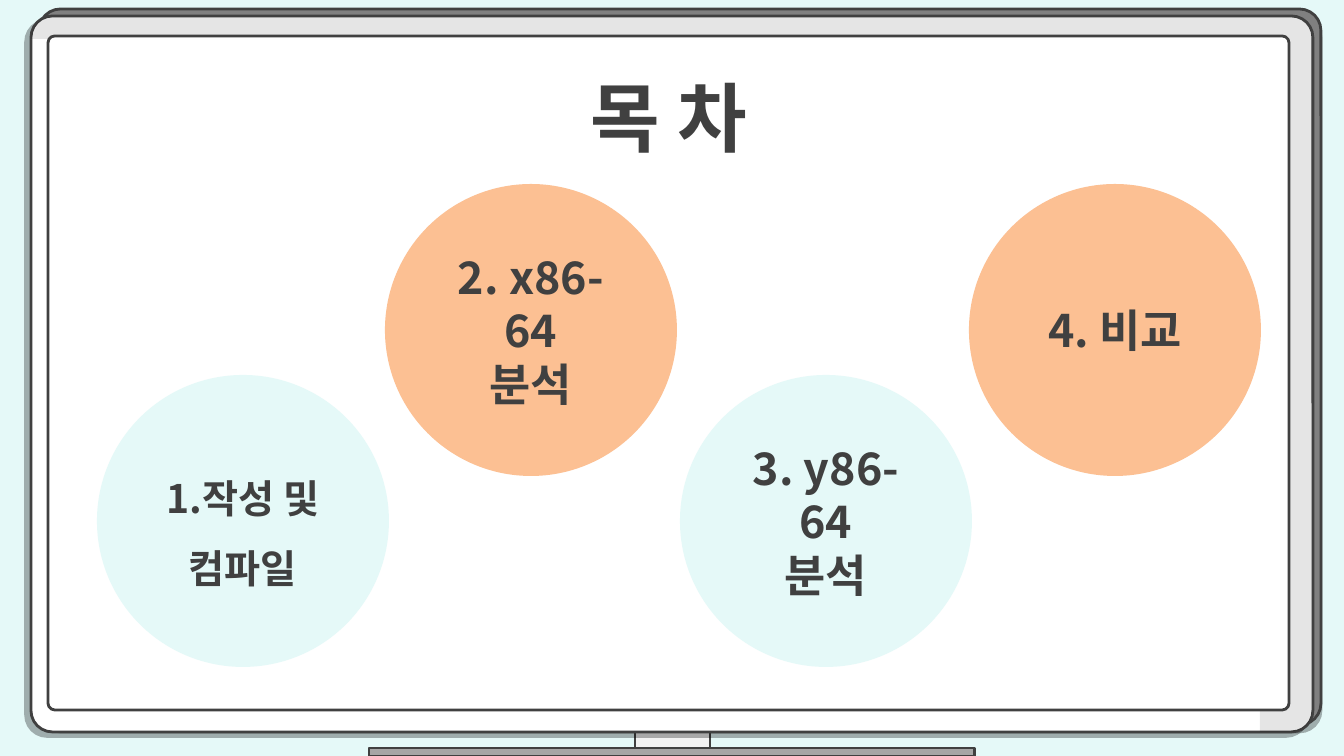
from math import cos, radians, sin

from lxml.etree import SubElement
from pptx import Presentation
from pptx.dml.color import RGBColor
from pptx.enum.shapes import MSO_SHAPE
from pptx.enum.text import MSO_ANCHOR, PP_ALIGN
from pptx.oxml.ns import qn
from pptx.util import Pt

FONT = "Noto Sans CJK KR"
COLORS = {
    "mint": "E5F9F8",
    "peach": "FCC093",
    "ink": "404040",
    "white": "FFFFFF",
    "back": "808080",
    "neck": "F2F2F2",
    "foot": "A6A6A6",
    "black": "000000",
}


def px(n):
    return round(n * 914400 / 100.8)


def rgb(name):
    return RGBColor.from_string(COLORS[name])


def paint(shape, fill, line=None):
    shape.shadow.inherit = False
    shape.fill.solid()
    shape.fill.fore_color.rgb = rgb(fill)
    if line:
        shape.line.color.rgb = rgb(line)
        shape.line.width = Pt(2)
    else:
        shape.line.fill.background()


def add_part(slide, kind, box, fill, line=None, round_by=None):
    part = slide.shapes.add_shape(kind, *map(px, box))
    paint(part, fill, line)
    if round_by is not None:
        part.adjustments[0] = round_by
    return part


def set_alpha(color, percent):
    SubElement(color, qn("a:alpha"), val=str(percent * 1000))


def add_shade(shape, angle):
    """Cast a hard 5 pt shadow in the direction of angle, in degrees."""
    effects = shape._element.spPr.find(qn("a:effectLst"))
    shade = SubElement(effects, qn("a:outerShdw"), blurRad="0", dist=str(Pt(5)),
                       dir=str(angle * 60000), algn="ctr", rotWithShape="0")
    set_alpha(SubElement(shade, qn("a:srgbClr"), val=COLORS["black"]), 30)


def arc(x, y, start, end, radius=21):
    """Points of a rounded corner centred on x, y."""
    turns = [radians(start + (end - start) * i / 12) for i in range(13)]
    return [(x + radius * cos(t), y + radius * sin(t)) for t in turns]


def add_glare(slide):
    """Tint the top and right edges of the monitor frame."""
    points = [
        *arc(1291, 38, -90, 0),
        *arc(1291, 711, 0, 90),
        (1260, 732),
        *arc(1239, 60, 0, -90),
        (31, 39),
        *arc(52, 38, 180, 270),
    ]
    points = [(px(x), px(y)) for x, y in points]
    pen = slide.shapes.build_freeform(*points[0])
    pen.add_line_segments(points[1:], close=True)
    glare = pen.convert_to_shape()
    paint(glare, "black")
    set_alpha(glare._element.spPr.find(qn("a:solidFill"))[0], 10)


def add_screen(slide):
    rect, soft = MSO_SHAPE.RECTANGLE, MSO_SHAPE.ROUNDED_RECTANGLE
    back = add_part(slide, soft, (39, 9, 1282, 716), "back", "ink", 0.03)
    add_shade(back, 90)
    add_part(slide, rect, (635, 487, 75, 269), "neck", "ink")
    add_part(slide, rect, (369, 748, 606, 8), "foot", "ink")
    front = add_part(slide, soft, (31, 16, 1282, 716), "white", "ink", 0.03)
    add_shade(front, 140)
    add_glare(slide)
    add_part(slide, soft, (48, 36, 1241, 674), "white", "ink", 0.01)


def set_text(shape, text, size, gap=None):
    frame = shape.text_frame
    frame.word_wrap = True
    frame.text = text
    for para in frame.paragraphs:
        para.alignment = PP_ALIGN.CENTER
        para.line_spacing = gap
        for run in para.runs:
            font = run.font
            font.size, font.bold, font.name = Pt(size), True, FONT
            font.color.rgb = rgb("ink")
            SubElement(font._element, qn("a:ea"), typeface=FONT)


def add_title(slide, text):
    box = slide.shapes.add_textbox(*map(px, (48, 66, 1241, 102)))
    set_text(box, text, 54)


def add_topic(slide, x, y, fill, text, size=32, gap=None):
    disc = add_part(slide, MSO_SHAPE.OVAL, (x, y, 292, 292), fill)
    disc.text_frame.vertical_anchor = MSO_ANCHOR.MIDDLE
    set_text(disc, text, size, gap)


def main():
    deck = Presentation()
    deck.slide_width, deck.slide_height = px(1344), px(756)
    slide = deck.slides.add_slide(deck.slide_layouts[6])
    slide.background.fill.solid()
    slide.background.fill.fore_color.rgb = rgb("mint")
    add_screen(slide)
    low, high = 375, 184
    add_topic(slide, 97, low, "mint", "1.작성 및 컴파일", 28, 1.5)
    add_topic(slide, 385, high, "peach", "2. x86-64\n분석")
    add_title(slide, "목 차")
    add_topic(slide, 680, low, "mint", "3. y86-64\n분석")
    add_topic(slide, 969, high, "peach", "4. 비교")
    deck.save("out.pptx")


if __name__ == "__main__":
    main()
